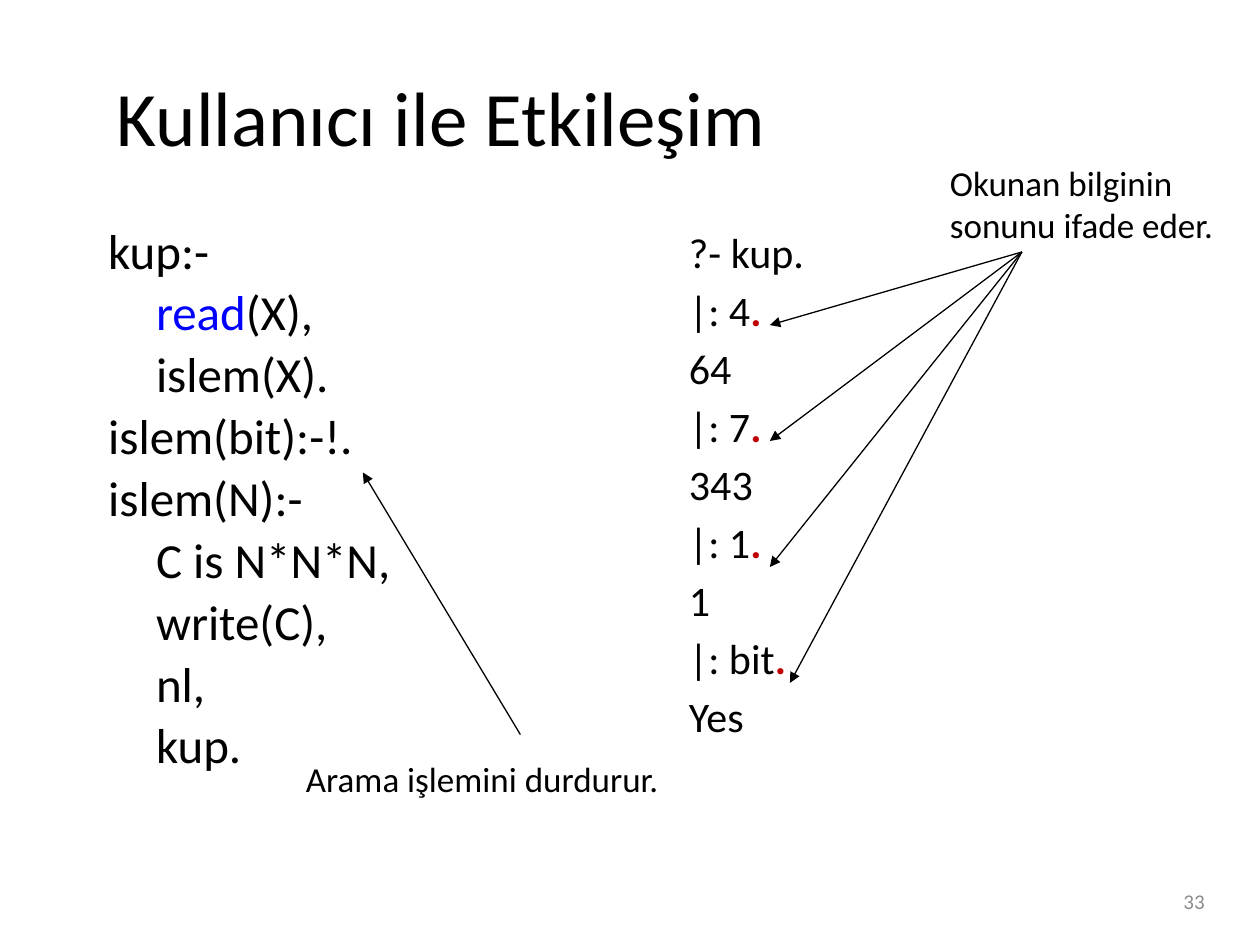
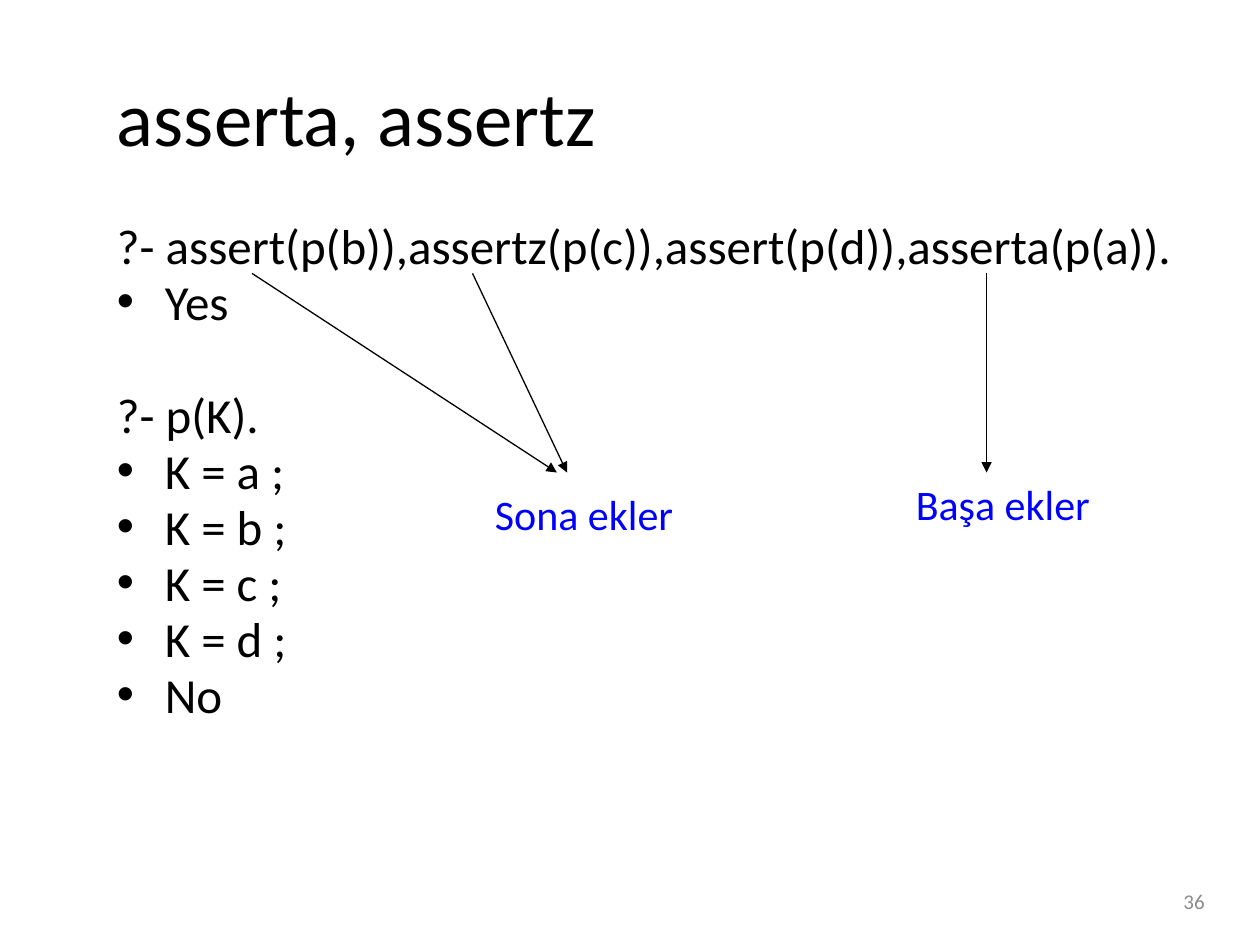
from dataclasses import dataclass

from lxml import etree
from pptx import Presentation
from pptx.dml.color import RGBColor
from pptx.enum.shapes import MSO_CONNECTOR
from pptx.enum.text import MSO_ANCHOR, MSO_AUTO_SIZE, PP_ALIGN
from pptx.oxml.ns import qn
from pptx.presentation import Presentation as Deck
from pptx.slide import Slide
from pptx.util import Emu, Pt

STRAIGHT = MSO_CONNECTOR.STRAIGHT
TOP, MIDDLE = MSO_ANCHOR.TOP, MSO_ANCHOR.MIDDLE
LEFT, RIGHT = PP_ALIGN.LEFT, PP_ALIGN.RIGHT
FIT_SHAPE, FIXED = MSO_AUTO_SIZE.SHAPE_TO_FIT_TEXT, MSO_AUTO_SIZE.NONE
EMU_PER_PX = 9144
BLANK_LAYOUT = 6


@dataclass(frozen=True)
class Theme:
    font: str = "Calibri"
    ink: str = "000000"
    keyword: str = "0000FF"
    full_stop: str = "C00000"
    page_number: str = "8C8C8C"
    title_size: int = 44
    code_size: int = 28
    session_size: int = 24
    note_size: int = 20
    page_size: int = 12
    line_width: float = 0.75
    code_gap: float = 5.1
    session_gap: float = 4.3
    answer_gap: float = 37.7
    indent: int = 38


THEME = Theme()


@dataclass(frozen=True)
class Span:
    text: str
    color: str = THEME.ink
    bold: bool = False


@dataclass(frozen=True)
class Line:
    spans: tuple[Span, ...]
    indented: bool = False
    bullet: bool = False
    space_before: float = 0


@dataclass(frozen=True)
class Block:
    left: int
    top: int
    width: int
    height: int
    lines: tuple[Line, ...]
    size: int
    spacing: float = 1.0
    anchor: MSO_ANCHOR = TOP
    align: PP_ALIGN = LEFT
    fitted: bool = False


@dataclass(frozen=True)
class Arrow:
    start: tuple[int, int]
    end: tuple[int, int]


def px(length: int) -> Emu:
    return Emu(length * EMU_PER_PX)


def plain(text: str, color: str = THEME.ink) -> Line:
    return Line((Span(text, color),))


def code(*spans: Span, indented: bool = False) -> Line:
    return Line(spans, indented=indented, space_before=THEME.code_gap)


def session(text: str, stopped: bool = False) -> Line:
    stop = (Span(".", THEME.full_stop, True),) if stopped else ()
    return Line((Span(text), *stop), space_before=THEME.session_gap)


def answer(text: str) -> Line:
    return Line((Span(text),), bullet=True, space_before=THEME.code_gap)


def note(left: int, top: int, width: int, height: int, texts: tuple[str, ...],
         size: int, color: str = THEME.ink) -> Block:
    lines = tuple(plain(text, color) for text in texts)
    return Block(left, top, width, height, lines, size, fitted=True)


def draw_block(slide: Slide, block: Block) -> None:
    shape = slide.shapes.add_textbox(
        px(block.left), px(block.top), px(block.width), px(block.height))
    frame = shape.text_frame
    frame.word_wrap = not block.fitted
    frame.auto_size = FIT_SHAPE if block.fitted else FIXED
    frame.vertical_anchor = block.anchor
    for index, line in enumerate(block.lines):
        paragraph = frame.add_paragraph() if index else frame.paragraphs[0]
        paragraph.alignment = block.align
        paragraph.line_spacing = block.spacing
        paragraph.space_before = Pt(line.space_before)
        properties = paragraph._p.get_or_add_pPr()
        if line.indented or line.bullet:
            properties.set("marL", str(px(THEME.indent)))
        if line.bullet:
            properties.set("indent", str(-px(THEME.indent)))
            etree.SubElement(properties, qn("a:buFont"), typeface="Arial")
            etree.SubElement(properties, qn("a:buChar"), char="•")
        for span in line.spans:
            run = paragraph.add_run()
            run.text = span.text
            run.font.name = THEME.font
            run.font.size = Pt(block.size)
            run.font.bold = span.bold
            run.font.color.rgb = RGBColor.from_string(span.color)


def draw_arrow(slide: Slide, arrow: Arrow) -> None:
    connector = slide.shapes.add_connector(
        STRAIGHT, *map(px, arrow.start + arrow.end))
    connector.line.color.rgb = RGBColor.from_string(THEME.ink)
    connector.line.width = Pt(THEME.line_width)
    etree.SubElement(connector.line._get_or_add_ln(), qn("a:tailEnd"), type="triangle")
    etree.SubElement(connector._element.spPr, qn("a:effectLst"))


def add_slide(presentation: Deck, title: str, page: int,
              blocks: tuple[Block, ...], arrows: tuple[Arrow, ...]) -> None:
    slide = presentation.slides.add_slide(presentation.slide_layouts[BLANK_LAYOUT])
    heading = Block(83, 29, 883, 125, (plain(title),), THEME.title_size, anchor=MIDDLE)
    number = Block(733, 695, 233, 40, (plain(str(page), THEME.page_number),),
                   THEME.page_size, anchor=MIDDLE, align=RIGHT)
    for block in (heading, *blocks, number):
        draw_block(slide, block)
    for arrow in arrows:
        draw_arrow(slide, arrow)


def add_interaction_slide(presentation: Deck) -> None:
    program = (
        code(Span("kup:-")),
        code(Span("read", THEME.keyword), Span("(X),"), indented=True),
        code(Span("islem(X)."), indented=True),
        code(Span("islem(bit):-!.")),
        code(Span("islem(N):-")),
        *(code(Span(goal), indented=True)
          for goal in ("C is N*N*N,", "write(C),", "nl,", "kup.")),
    )
    dialogue = [session("?- kup.")]
    for typed, reply in (("4", "64"), ("7", "343"), ("1", "1"), ("bit", "Yes")):
        dialogue += [session(f"|: {typed}", stopped=True), session(reply)]
    blocks = (
        Block(76, 175, 408, 495, program, THEME.code_size, spacing=0.9),
        Block(537, 175, 183, 495, tuple(dialogue), THEME.session_size),
        note(744, 123, 231, 77, ("Okunan bilginin", "sonunu ifade eder."),
             THEME.note_size),
        note(233, 596, 303, 44, ("Arama işlemini durdurur.",), THEME.note_size),
    )
    full_stops = ((611, 258), (611, 350), (611, 450), (627, 542))
    arrows = (*(Arrow((811, 200), stop) for stop in full_stops),
              Arrow((413, 583), (288, 375)))
    add_slide(presentation, "Kullanıcı ile Etkileşim", 33, blocks, arrows)


def add_assert_slide(presentation: Deck) -> None:
    queries = (
        code(Span("?- assert(p(b)),assertz(p(c)),assert(p(d)),asserta(p(a)).")),
        answer("Yes"),
        Line((Span("?- p(K)."),), space_before=THEME.answer_gap),
        *(answer(f"K = {value} ;") for value in "abcd"),
        answer("No"),
    )
    blocks = (
        Block(83, 175, 883, 470, queries, THEME.code_size, spacing=0.8),
        note(383, 383, 163, 50, ("Sona ekler",), THEME.session_size, THEME.keyword),
        note(717, 375, 160, 50, ("Başa ekler",), THEME.session_size, THEME.keyword),
    )
    arrows = tuple(Arrow((start, 217), (end, 375))
                   for start, end in ((375, 450), (200, 442), (783, 783)))
    add_slide(presentation, "asserta, assertz", 36, blocks, arrows)


def main() -> None:
    presentation = Presentation()
    presentation.slide_width, presentation.slide_height = px(1000), px(750)
    add_interaction_slide(presentation)
    add_assert_slide(presentation)
    presentation.save("out.pptx")


if __name__ == "__main__":
    main()
